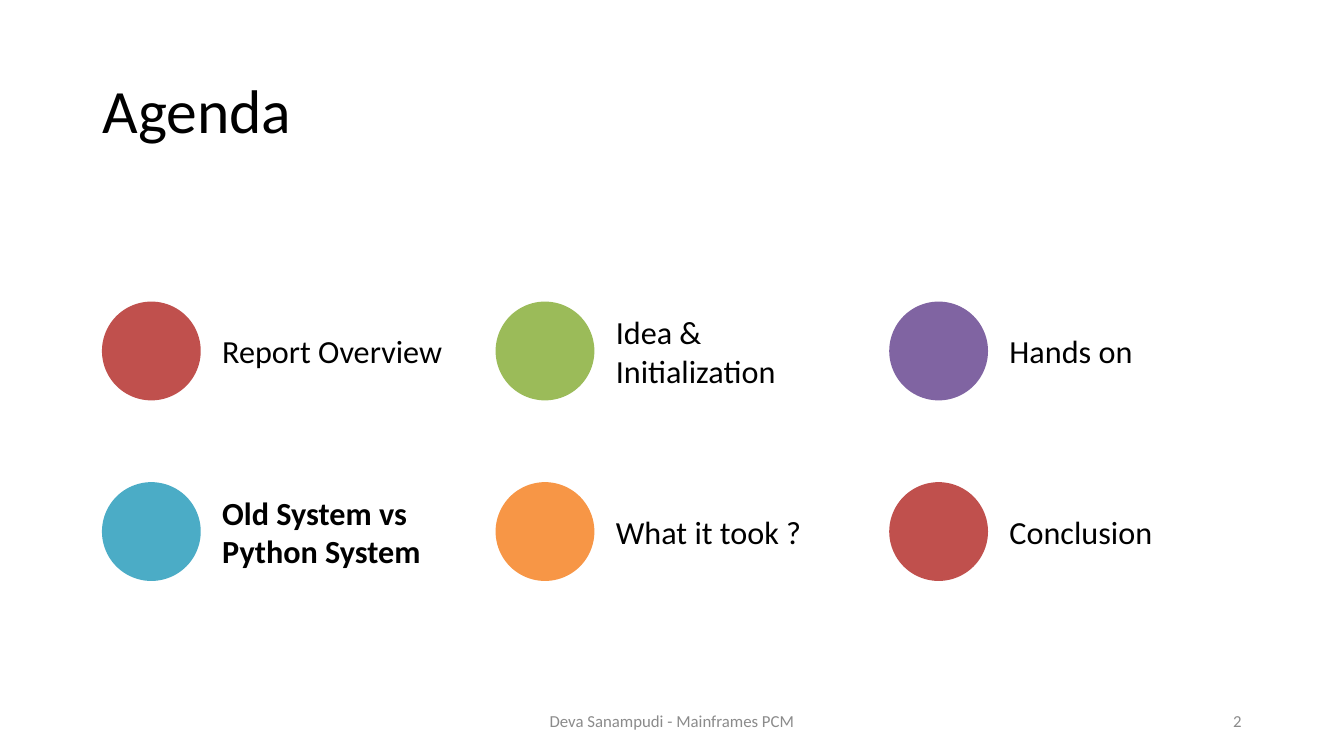
from dataclasses import dataclass

from pptx import Presentation
from pptx.dml.color import RGBColor
from pptx.enum.shapes import MSO_SHAPE
from pptx.enum.text import MSO_ANCHOR, MSO_AUTO_SIZE, PP_ALIGN
from pptx.util import Cm, Pt

# Content
TITLE = "Agenda"
TOPICS = [  # label, circle colour, bold
    ("Report Overview", "C0504D", False),
    ("Idea & Initialization", "9BBB59", False),
    ("Hands on", "8064A2", False),
    ("Old System vs Python System", "4BACC6", True),
    ("What it took ?", "F79646", False),
    ("Conclusion", "C0504D", False),
]
FOOTER = "Deva Sanampudi - Mainframes PCM"
PAGE_NUMBER = "2"


@dataclass(frozen=True)
class Theme:
    font: str = "Calibri"
    text: str = "000000"
    muted: str = "8B8B8B"
    title_size: float = 44
    topic_size: float = 23
    footer_size: float = 12


THEME = Theme()

# Topic grid, in centimetres
COLUMNS = 3
GRID_LEFT, GRID_TOP = 2.57, 7.6
COLUMN_STEP, ROW_STEP = 9.92, 4.55
CIRCLE = 2.49
LABEL_OFFSET, LABEL_WIDTH = 3.03, 5.87


def set_text(box, text, size, color, align=PP_ALIGN.LEFT, bold=False):
    frame = box.text_frame
    frame.text = text
    frame.word_wrap = True
    frame.auto_size = MSO_AUTO_SIZE.NONE
    frame.vertical_anchor = MSO_ANCHOR.MIDDLE
    para = frame.paragraphs[0]
    para.alignment = align
    para.font.name = THEME.font
    para.font.size = Pt(size)
    para.font.bold = bold
    para.font.color.rgb = RGBColor.from_string(color)
    return frame


def add_text(page, left, top, width, height, *style, **options):
    box = page.shapes.add_textbox(Cm(left), Cm(top), Cm(width), Cm(height))
    return set_text(box, *style, **options)


def add_topic(page, index, label, color, bold):
    row, column = divmod(index, COLUMNS)
    left = GRID_LEFT + column * COLUMN_STEP
    top = GRID_TOP + row * ROW_STEP
    circle = page.shapes.add_shape(
        MSO_SHAPE.OVAL, Cm(left), Cm(top), Cm(CIRCLE), Cm(CIRCLE))
    circle.shadow.inherit = False
    circle.fill.solid()
    circle.fill.fore_color.rgb = RGBColor.from_string(color)
    circle.line.fill.background()

    frame = add_text(page, left + LABEL_OFFSET, top, LABEL_WIDTH, CIRCLE,
                     label, THEME.topic_size, THEME.text, bold=bold)
    frame.margin_left = frame.margin_right = 0
    frame.margin_top = frame.margin_bottom = 0
    frame.paragraphs[0].space_after = Pt(8.1)


def main():
    deck = Presentation()
    deck.slide_width, deck.slide_height = Cm(33.87), Cm(19.05)
    page = deck.slides.add_slide(deck.slide_layouts[5])

    # Title
    title = page.shapes.title
    title.left, title.top = Cm(2.33), Cm(1.01)
    title.width, title.height = Cm(29.21), Cm(3.68)
    frame = set_text(title, TITLE, THEME.title_size, THEME.text)
    frame.paragraphs[0].line_spacing = 0.9

    # Topics
    for index, topic in enumerate(TOPICS):
        add_topic(page, index, *topic)

    # Footer and page number
    add_text(page, 11.22, 17.66, 11.43, 1.01,
             FOOTER, THEME.footer_size, THEME.muted, align=PP_ALIGN.CENTER)
    add_text(page, 23.92, 17.66, 7.62, 1.01,
             PAGE_NUMBER, THEME.footer_size, THEME.muted, align=PP_ALIGN.RIGHT)

    deck.save("out.pptx")


if __name__ == "__main__":
    main()
